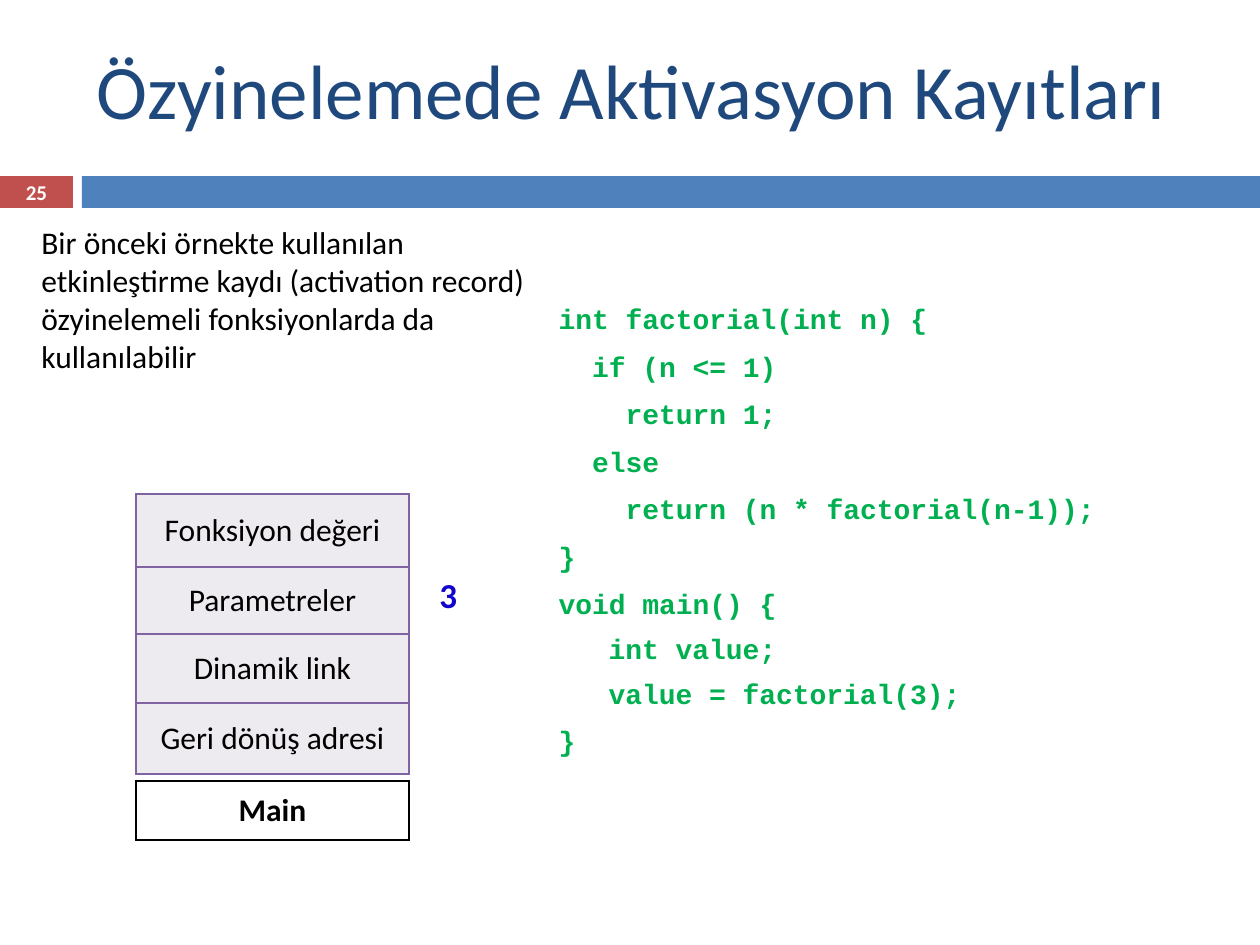
"""Build the slide on activation records in recursion."""
from dataclasses import dataclass

from lxml import etree
from pptx import Presentation
from pptx.dml.color import RGBColor
from pptx.enum.shapes import MSO_SHAPE
from pptx.enum.text import MSO_ANCHOR, MSO_AUTO_SIZE, PP_ALIGN
from pptx.oxml.ns import qn
from pptx.util import Emu, Pt

RECTANGLE = MSO_SHAPE.RECTANGLE
TOP, MIDDLE = MSO_ANCHOR.TOP, MSO_ANCHOR.MIDDLE
LEFT, CENTER = PP_ALIGN.LEFT, PP_ALIGN.CENTER
NO_FIT = MSO_AUTO_SIZE.NONE


@dataclass(frozen=True)
class Theme:
    sans: str = "Calibri"
    mono: str = "Courier New"
    black: str = "000000"
    white: str = "FFFFFF"
    navy: str = "1F497D"
    blue: str = "4F81BD"
    red: str = "C0504D"
    green: str = "00B050"
    value: str = "1204CC"
    purple: str = "8064A2"
    lilac: str = "EDEAF0"
    title_size: float = 44
    value_size: float = 20
    text_size: float = 18
    code_size: float = 16
    number_size: float = 12


THEME = Theme()
TITLE = "Özyinelemede Aktivasyon Kayıtları"
INTRO = ("Bir önceki örnekte kullanılan etkinleştirme kaydı (activation record) "
         "özyinelemeli fonksiyonlarda da kullanılabilir")
PAGE_NUMBER = "25"
PARAMETER_VALUE = "3"
CODE = [
    (0, "int factorial(int n) {"),
    (0, "  if (n <= 1)"),
    (0, "    return 1;"),
    (0, "  else"),
    (0, "    return (n * factorial(n-1));"),
    (0, "}"),
    (0, "void main() {"),
    (1, "int value;"),
    (1, "value = factorial(3);"),
    (0, "}"),
]
CODE_LEVELS = [(44, -44, 7), (88, -38, 5.5)]
RECORD = [("Fonksiyon değeri", 73), ("Parametreler", 67),
          ("Dinamik link", 69), ("Geri dönüş adresi", 71)]
CALLER = [("Main", 59)]
BARS = [((0, 176, 73, 32), THEME.red), ((82, 176, 1178, 32), THEME.blue)]


def px(length):
    return Emu(round(length * 914400 / 126))


def color(value):
    return RGBColor.from_string(value)


def style(paragraph, size, ink, bold=False, name=THEME.sans, align=LEFT):
    paragraph.alignment = align
    for span in paragraph.runs:
        span.font.name = name
        span.font.size = Pt(size)
        span.font.bold = bold
        span.font.color.rgb = color(ink)


def move(shape, place):
    shape.left, shape.top, shape.width, shape.height = map(px, place)


def add_bar(page, place, fill):
    bar = page.shapes.add_shape(RECTANGLE, *map(px, place))
    bar.shadow.inherit = False
    bar.fill.solid()
    bar.fill.fore_color.rgb = color(fill)
    bar.line.fill.background()


def add_text(page, place, text, size, ink, bold=False, align=LEFT, anchor=TOP, wrap=True):
    frame = page.shapes.add_textbox(*map(px, place)).text_frame
    frame.word_wrap = wrap
    frame.vertical_anchor = anchor
    frame.text = text
    style(frame.paragraphs[0], size, ink, bold, align=align)


def add_borders(cell, ink):
    properties = cell._tc.get_or_add_tcPr()
    for position, side in enumerate(("a:lnL", "a:lnR", "a:lnT", "a:lnB")):
        line = etree.Element(qn(side), w=str(Pt(1)))
        fill = etree.SubElement(line, qn("a:solidFill"))
        etree.SubElement(fill, qn("a:srgbClr"), val=ink)
        properties.insert(position, line)


def add_stack(page, left, top, width, rows, border, fill=None, bold=False):
    height = sum(size for _, size in rows)
    table = page.shapes.add_table(len(rows), 1, *map(px, (left, top, width, height))).table
    table.first_row = table.horz_banding = False
    for index, (label, size) in enumerate(rows):
        table.rows[index].height = px(size)
        cell = table.cell(index, 0)
        cell.text = label
        cell.vertical_anchor = MIDDLE
        style(cell.text_frame.paragraphs[0], THEME.text_size, THEME.black, bold, align=CENTER)
        if fill:
            cell.fill.solid()
            cell.fill.fore_color.rgb = color(fill)
        else:
            cell.fill.background()
        add_borders(cell, border)


def fill_title(title):
    move(title, (84, 31, 1124, 137))
    frame = title.text_frame
    frame.text = TITLE
    frame.auto_size = NO_FIT
    frame.vertical_anchor = TOP
    frame.margin_top = px(11)
    style(frame.paragraphs[0], THEME.title_size, THEME.navy)


def fill_code(body):
    move(body, (546, 294, 577, 494))
    frame = body.text_frame
    frame.text = "\n".join(line for _, line in CODE)
    frame.auto_size = NO_FIT
    for index, (paragraph, (level, _)) in enumerate(zip(frame.paragraphs, CODE)):
        margin, indent, space = CODE_LEVELS[level]
        paragraph.level = level
        properties = paragraph._p.get_or_add_pPr()
        properties.set("marL", str(px(margin)))
        properties.set("indent", str(px(indent)))
        etree.SubElement(properties, qn("a:buNone"))
        paragraph.line_spacing = 1.05
        paragraph.space_before = Pt(space if index else 0)
        style(paragraph, THEME.code_size, THEME.green, True, THEME.mono)


def main():
    deck = Presentation()
    deck.slide_width, deck.slide_height = px(1260), px(945)
    page = deck.slides.add_slide(deck.slide_layouts[1])
    for place, fill in BARS:
        add_bar(page, place, fill)
    fill_title(page.shapes.title)
    fill_code(page.placeholders[1])
    add_stack(page, 136, 494, 273, RECORD, THEME.purple, THEME.lilac)
    add_text(page, (427, 567, 45, 55), PARAMETER_VALUE, THEME.value_size, THEME.value,
             bold=True, wrap=False)
    add_stack(page, 136, 781, 273, CALLER, THEME.black, bold=True)
    add_text(page, (29, 217, 532, 165), INTRO, THEME.text_size, THEME.black)
    add_text(page, (0, 175, 73, 34), PAGE_NUMBER, THEME.number_size, THEME.white,
             bold=True, align=CENTER, anchor=MIDDLE)
    deck.save("out.pptx")


if __name__ == "__main__":
    main()
